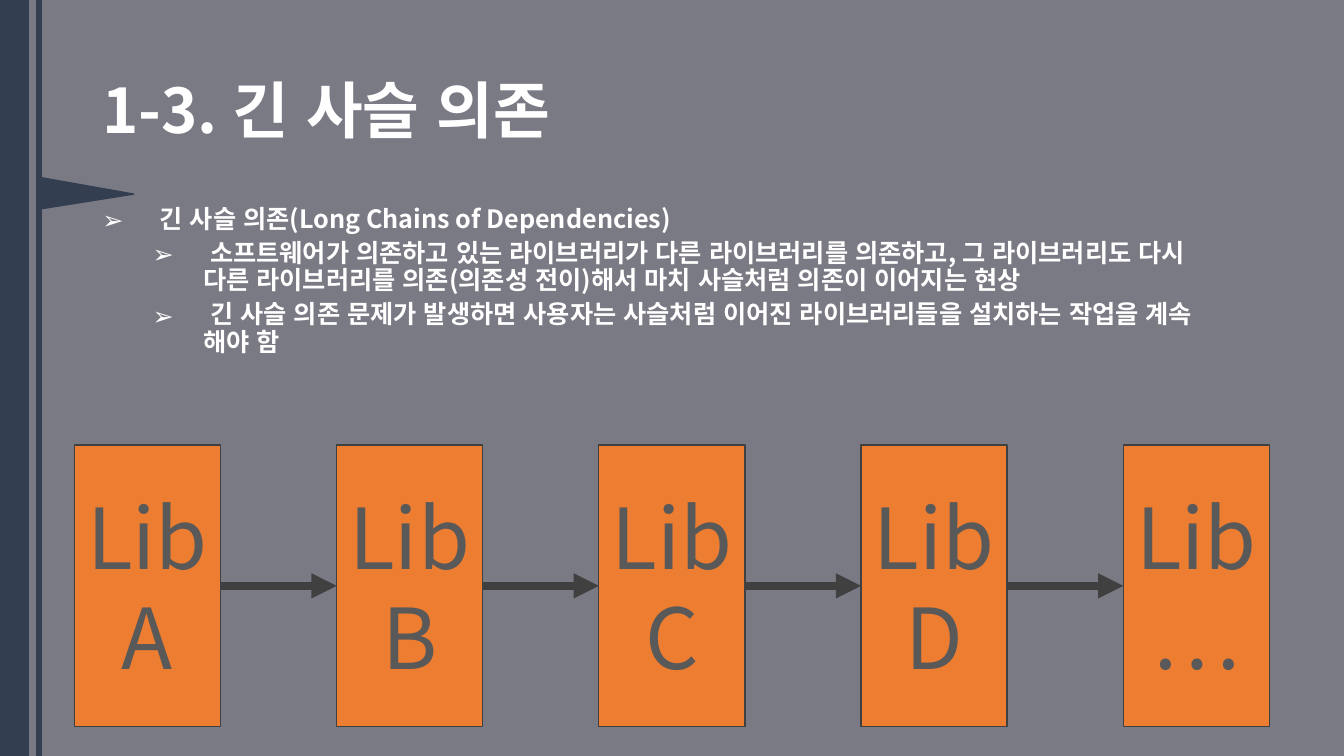
from dataclasses import dataclass

from lxml.etree import SubElement
from pptx import Presentation
from pptx.dml.color import RGBColor
from pptx.enum.lang import MSO_LANGUAGE_ID
from pptx.enum.shapes import MSO_CONNECTOR, MSO_SHAPE
from pptx.enum.text import MSO_ANCHOR, PP_ALIGN
from pptx.oxml.ns import qn
from pptx.util import Inches, Pt


@dataclass(frozen=True)
class Theme:
    font: str = "Noto Sans CJK KR"
    background: str = "7A7A84"
    accent: str = "333F50"
    text: str = "FFFFFF"
    box: str = "ED7D31"
    box_text: str = "595959"
    line: str = "404040"
    title_size: int = 44
    body_size: int = 18
    box_size: int = 60
    thin: int = 1
    thick: int = 6


class Deck:
    COLS, ROWS = 160, 90

    def __init__(self, prs, theme):
        self.prs, self.theme = prs, theme
        self.slide = prs.slides.add_slide(prs.slide_layouts[5])
        fill = self.slide.background.fill
        fill.solid()
        fill.fore_color.rgb = RGBColor.from_string(theme.background)

    def x(self, cols):
        return round(self.prs.slide_width * cols / self.COLS)

    def y(self, rows):
        return round(self.prs.slide_height * rows / self.ROWS)

    def area(self, left, top, width, height):
        return self.x(left), self.y(top), self.x(width), self.y(height)

    def style(self, p, size, color, bold=False):
        for r in p.runs:
            r.font.size = Pt(size)
            r.font.bold = bold
            r.font.color.rgb = RGBColor.from_string(color)
            r.font.name = self.theme.font
            r.font.language_id = MSO_LANGUAGE_ID.KOREAN

    def title(self, text, *area):
        sp = self.slide.shapes.title
        sp.left, sp.top, sp.width, sp.height = self.area(*area)
        tf = sp.text_frame
        tf.text = text
        tf.vertical_anchor = MSO_ANCHOR.MIDDLE
        p = tf.paragraphs[0]
        p.alignment = PP_ALIGN.LEFT
        p.line_spacing = 0.9
        self.style(p, self.theme.title_size, self.theme.text, True)

    def bullets(self, items, *area):
        tf = self.slide.shapes.add_textbox(*self.area(*area)).text_frame
        tf.word_wrap = True
        for i, (level, text) in enumerate(items):
            p = tf.add_paragraph() if i else tf.paragraphs[0]
            p.text = text
            p.level = level
            p.line_spacing = 0.9
            p.space_before = Pt(5 if i else 0)
            pPr = p._p.get_or_add_pPr()
            pPr.set("marL", str(Inches(0.5 * (level + 1))))
            pPr.set("indent", str(Inches(-0.5)))
            SubElement(pPr, qn("a:buFont")).set("typeface", self.theme.font)
            SubElement(pPr, qn("a:buChar")).set("char", "➢")
            self.style(p, self.theme.body_size, self.theme.text, True)

    def shape(self, kind, fill, line, *area):
        sp = self.slide.shapes.add_shape(kind, *self.area(*area))
        sp.shadow.inherit = False
        sp.fill.solid()
        sp.fill.fore_color.rgb = RGBColor.from_string(fill)
        sp.line.color.rgb = RGBColor.from_string(line)
        sp.line.width = Pt(self.theme.thin)
        return sp

    def accent(self, kind, *area):
        return self.shape(kind, self.theme.accent, self.theme.accent, *area)

    def box(self, text, *area):
        sp = self.shape(MSO_SHAPE.RECTANGLE, self.theme.box, self.theme.line, *area)
        tf = sp.text_frame
        tf.text = text
        tf.word_wrap = True
        tf.vertical_anchor = MSO_ANCHOR.MIDDLE
        p = tf.paragraphs[0]
        p.alignment = PP_ALIGN.CENTER
        self.style(p, self.theme.box_size, self.theme.box_text)
        return sp

    def arrow(self, start, end):
        c = self.slide.shapes.add_connector(MSO_CONNECTOR.STRAIGHT, 0, 0, 0, 0)
        c.begin_connect(start, 3)
        c.end_connect(end, 1)
        c.line.color.rgb = RGBColor.from_string(self.theme.line)
        c.line.width = Pt(self.theme.thick)
        SubElement(c.line._get_or_add_ln(), qn("a:tailEnd")).set("type", "triangle")
        SubElement(c._element.spPr, qn("a:effectLst"))


def main():
    prs = Presentation()
    prs.slide_width, prs.slide_height = Inches(13.33), Inches(7.5)
    s = Deck(prs, Theme())

    for left, width in ((0, 3.4), (4.35, 0.6)):
        s.accent(MSO_SHAPE.RECTANGLE, left, 0, width, s.ROWS)
    pointer = s.accent(MSO_SHAPE.ISOSCELES_TRIANGLE, 8.55, 17.5, 3.7, 11)
    pointer.rotation = 90
    pointer.adjustments[0] = 0.53

    s.title("1-3. 긴 사슬 의존", 11, 4.8, 138, 17.4)
    s.bullets([
        (0, " 긴 사슬 의존(Long Chains of Dependencies)"),
        (1, " 소프트웨어가 의존하고 있는 라이브러리가 다른 라이브러리를 의존하고, "
            "그 라이브러리도 다시 다른 라이브러리를 의존(의존성 전이)해서 "
            "마치 사슬처럼 의존이 이어지는 현상"),
        (1, " 긴 사슬 의존 문제가 발생하면 사용자는 사슬처럼 이어진 "
            "라이브러리들을 설치하는 작업을 계속 해야 함"),
    ], 11, 24, 135, 66)

    boxes = [s.box(f"Lib {name}", 8.85 + 31.22 * i, 53, 17.4, 33.5)
             for i, name in enumerate("ABCD…")]
    for start, end in zip(boxes, boxes[1:]):
        s.arrow(start, end)

    prs.save("out.pptx")


if __name__ == "__main__":
    main()
